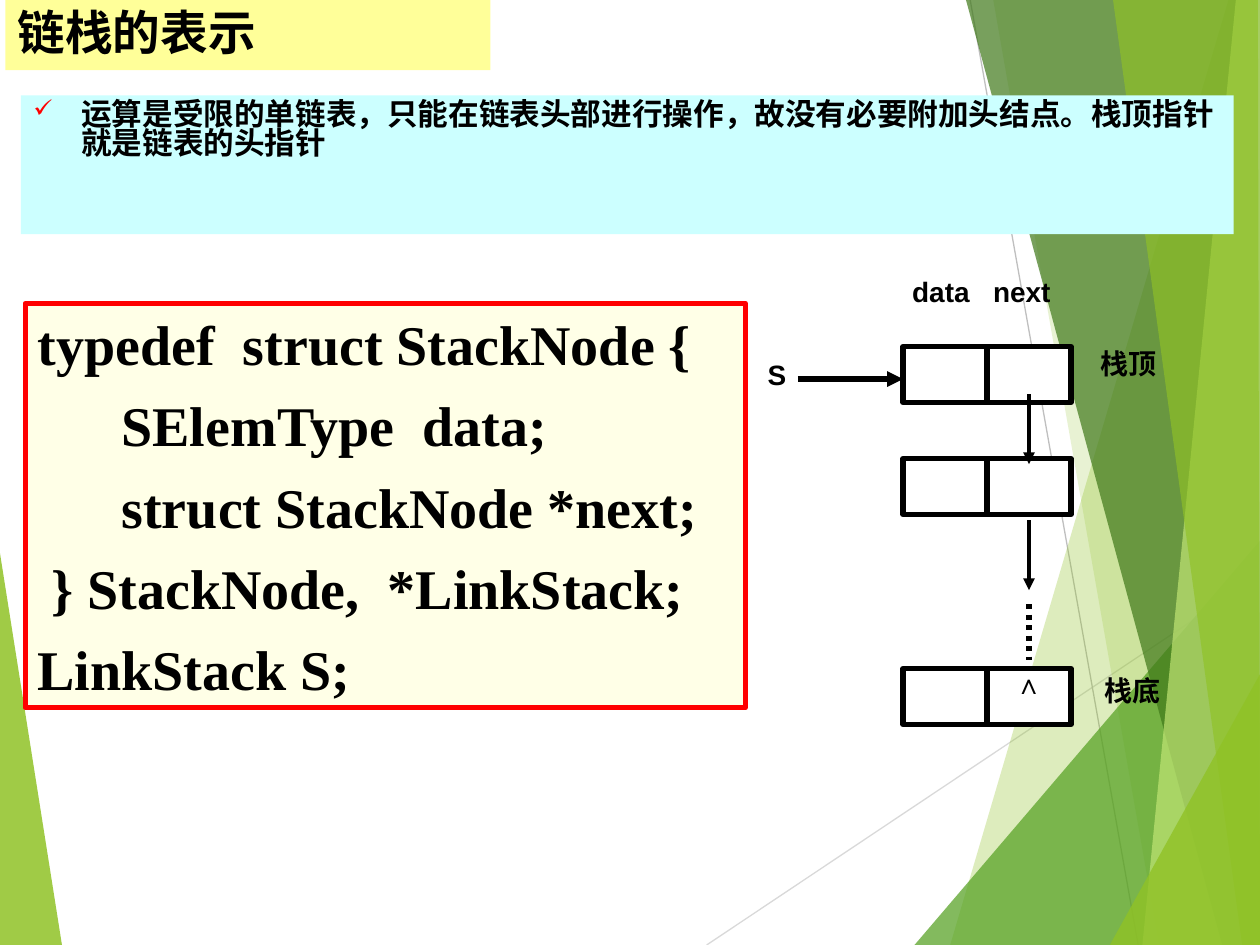
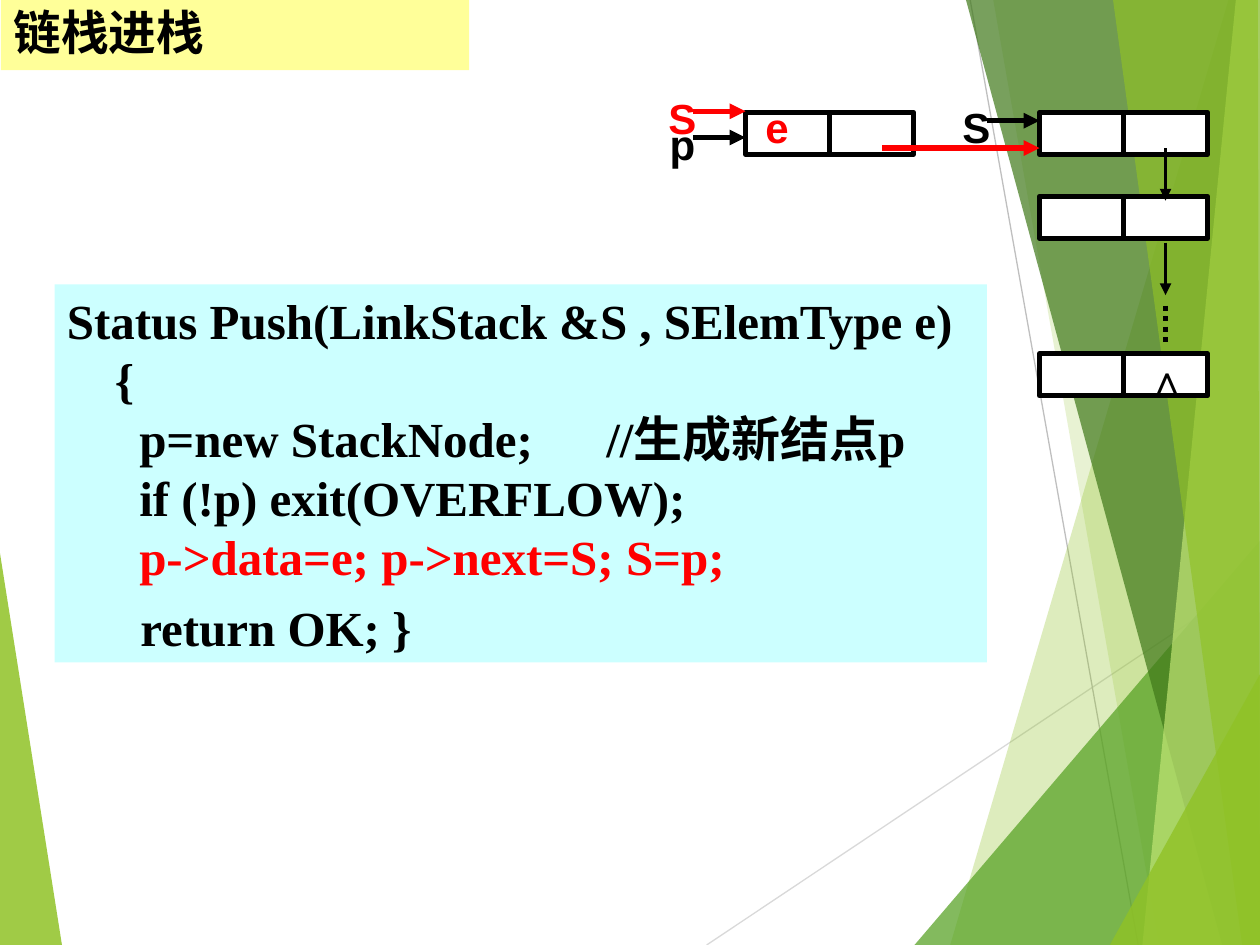
import pptx
import pptx.util
import pptx.dml.color
import pptx.enum.shapes
import pptx.enum.text
import pptx.oxml.ns
from lxml import etree

COLUMNS, ROWS = 120, 90
CELL = pptx.util.Inches(10) // COLUMNS
COLOURS = {
    "black": "000000", "white": "FFFFFF", "red": "FF0000",
    "title": "FFFF99", "cyan": "CCFFFF", "cream": "FFFFE7",
    "lime": "90C226", "green": "54A021", "forest": "3F7819", "pale": "C0E474",
    "silver": "BFBFBF", "mist": "D9D9D9",
}
CHINESE, SANS, SERIF = "Noto Sans CJK SC", "Arial", "Times New Roman"
NODE_WIDTH = 16
ALIGN = pptx.enum.text.PP_ALIGN

FACETS = [
    ("lime", 30, [(117, 0), (90.5, 90), (120, 90), (120, 0)]),
    ("lime", 20, [(94.6, 0), (110.4, 90), (120, 90), (120, 0)]),
    ("green", 72, [(87.1, 90), (120, 51.5), (120, 90)]),
    ("forest", 70, [(92, 0), (116.4, 90), (120, 90), (120, 0)]),
    ("pale", 70, [(117.7, 0), (108.8, 90), (120, 90), (120, 0)]),
    ("lime", 65, [(106, 0), (118.3, 90), (120, 90), (119.8, 0)]),
    ("lime", 80, [(105.7, 90), (120, 64.2), (120, 90)]),
]
LEFT_FACET = ("lime", 85, [(0, 52.7), (5.9, 90), (0, 90)])

TYPE_CODE = [
    "typedef  struct StackNode {",
    "      SElemType  data;",
    "      struct StackNode *next;",
    " } StackNode,  *LinkStack;",
    "LinkStack S;",
]
PUSH_CODE = [
    "Status Push(LinkStack &S , SElemType e)\n{\n  p=new StackNode;      //生成新结点p\n"
    "  if (!p) exit(OVERFLOW);\n  p->data=e; p->next=S; S=p;",
    "      return OK; }",
]


def cells(*values):
    """Turn grid counts into slide lengths."""
    return [round(value * CELL) for value in values]


def colour(name):
    """Look up a palette colour."""
    return pptx.dml.color.RGBColor.from_string(COLOURS[name])


def add_child(parent, tag, **attributes):
    """Append a DrawingML element."""
    child = etree.SubElement(parent, pptx.oxml.ns.qn(tag))
    for key, value in attributes.items():
        child.set(key, str(value))
    return child


def paint(shape, fill, outline=None):
    """Set a shape's fill and outline without a shadow."""
    shape.shadow.inherit = False
    shape.fill.solid()
    shape.fill.fore_color.rgb = colour(fill)
    if outline:
        shape.line.color.rgb = colour(outline)
        shape.line.width = pptx.util.Pt(3)
    else:
        shape.line.fill.background()


def add_box(page, place, fill, outline=None):
    """Draw a rectangle on the grid."""
    box = page.shapes.add_shape(pptx.enum.shapes.MSO_SHAPE.RECTANGLE, *cells(*place))
    paint(box, fill, outline)
    return box


def add_line(page, start, end, ink="black", width=3, arrow=False, dotted=False):
    """Draw a straight line or arrow between two grid points."""
    line = page.shapes.add_connector(
        pptx.enum.shapes.MSO_CONNECTOR.STRAIGHT, *cells(*start, *end))
    line.line.color.rgb = colour(ink)
    line.line.width = pptx.util.Pt(width)
    outline = line.line._get_or_add_ln()
    if dotted:
        add_child(outline, "a:prstDash", val="sysDot")
    if arrow:
        add_child(outline, "a:tailEnd", type="triangle")
    add_child(line._element.spPr, "a:effectLst")
    return line


def add_facet(page, fill, opacity, points):
    """Draw a translucent polygon of the backdrop."""
    first, *others = [cells(*point) for point in points]
    builder = page.shapes.build_freeform(*first)
    builder.add_line_segments(others)
    facet = builder.convert_to_shape()
    paint(facet, fill)
    tint = facet._element.spPr.find(".//" + pptx.oxml.ns.qn("a:srgbClr"))
    add_child(tint, "a:alpha", val=opacity * 1000)


def style_span(span, font, size, ink):
    """Format a run of bold text."""
    span.font.size = pptx.util.Pt(size)
    span.font.bold = True
    span.font.color.rgb = colour(ink)
    span.font.name = font
    add_child(span._r.get_or_add_rPr(), "a:ea", typeface=CHINESE)


def write(box, lines, font, size, ink="black", space=0, align=ALIGN.LEFT,
          anchor=pptx.enum.text.MSO_ANCHOR.TOP):
    """Fill a box with paragraphs of one style."""
    frame = box.text_frame
    frame.word_wrap = True
    frame.vertical_anchor = anchor
    for index, text in enumerate(lines):
        para = frame.add_paragraph() if index else frame.paragraphs[0]
        para.text = text
        para.alignment = align
        if index:
            para.space_before = pptx.util.Pt(space)
        for span in para.runs:
            style_span(span, font, size, ink)
    return frame.paragraphs


def hang(para):
    """Give a paragraph a hanging indent."""
    properties = para._p.get_or_add_pPr()
    indent = pptx.util.Inches(0.38)
    properties.set("marL", str(indent))
    properties.set("indent", str(-indent))
    return properties


def add_label(page, left, top, text, size=16, ink="black", width=6, align=ALIGN.CENTER):
    """Place a short diagram label."""
    label = page.shapes.add_textbox(*cells(left, top, width, size / 4))
    write(label, [text], SANS, size, ink, align=align)


def add_title(page, left, width, text):
    """Place the yellow title band."""
    band = add_box(page, (left, 0, width, 6.7), "title")
    para = write(band, [text], CHINESE, 27.2, anchor=pptx.enum.text.MSO_ANCHOR.MIDDLE)[0]
    para.line_spacing = 0.9


def add_node(page, left, top, height):
    """Draw a list node split into data and next."""
    node = add_box(page, (left, top, NODE_WIDTH, height), "white", "black")
    middle = left + NODE_WIDTH / 2
    divider = add_line(page, (middle, top), (middle, top + height))
    divider.begin_connect(node, 0)
    divider.end_connect(node, 2)


def add_chain(page, left, top, scale, mark_size):
    """Draw the linked nodes from stack top to stack bottom."""
    for offset in (0, 8, 23):
        add_node(page, left, top + offset * scale, 4 * scale)
    link = left + NODE_WIDTH * 0.75
    for start, end in ((3.4, 8.4), (12.4, 17.4)):
        add_line(page, (link, top + start * scale), (link, top + end * scale),
                 width=2.25, arrow=True)
    add_line(page, (link, top + 18.4 * scale), (link, top + 22.4 * scale), dotted=True)
    add_label(page, link - 3, top + 22.4 * scale, "∧", mark_size)


def add_page(deck):
    """Add a blank page with the faceted backdrop."""
    page = deck.slides.add_slide(deck.slide_layouts[6])
    add_facet(page, *LEFT_FACET)
    add_line(page, (67.3, ROWS), (COLUMNS, 54.8), "mist", 0.75)
    add_line(page, (92.4, 0), (108.4, ROWS), "silver", 0.75)
    for facet in FACETS:
        add_facet(page, *facet)
    return page


def build_representation(deck):
    """Build the page that defines the linked stack."""
    page = add_page(deck)
    add_title(page, 0.5, 46.2, "链栈的表示")
    note = add_box(page, (2, 9.1, 115.5, 13.2), "cyan")
    para = write(note, ["运算是受限的单链表，只能在链表头部进行操作，故没有必要附加头结点。"
                        "栈顶指针就是链表的头指针"], SERIF, 17.5)[0]
    para.line_spacing = 0.8
    properties = hang(para)
    add_child(add_child(properties, "a:buClr"), "a:srgbClr", val=COLOURS["red"])
    add_child(properties, "a:buSzPct", val=80000)
    add_child(properties, "a:buChar", char="✓")

    code = add_box(page, (2.4, 28.9, 68.6, 38.5), "cream", "red")
    for para in write(code, TYPE_CODE, SERIF, 32, space=8):
        hang(para)

    left, top = 86, 33
    add_chain(page, left, top, 4 / 3, 16)
    for column, row, text in ((85.7, 25.6, "data"), (93.4, 25.6, "next"),
                              (103.6, 32.4, "栈顶"), (104, 63.6, "栈底")):
        add_label(page, column, row, text, width=12, align=ALIGN.LEFT)
    add_line(page, (76, 36.1), (left, 36.1), arrow=True)
    add_label(page, 71, 33.5, "S")


def build_push(deck):
    """Build the page that pushes a node."""
    page = add_page(deck)
    add_title(page, 0.1, 44.6, "链栈进栈")
    new_node, stack, top = 71, 99, 10.7
    add_node(page, new_node, top, 4)
    add_chain(page, stack, top, 1, 24)
    for start, end, row, ink in ((66, new_node, 13.1, "black"), (94, stack, 11.5, "black"),
                                 (84, stack, 14.1, "red"), (66, new_node, 10.6, "red")):
        add_line(page, (start, row), (end, row), ink, arrow=True)
    for column, row, text, ink in ((62, 10.7, "p", "black"), (90, 9.1, "S", "black"),
                                   (71, 9.1, "e", "red"), (62, 8.2, "S", "red")):
        add_label(page, column, row, text, 24, ink)

    code = add_box(page, (5.2, 27.1, 88.8, 36), "cyan")
    paras = write(code, PUSH_CODE, SERIF, 28, space=7)
    for para in paras:
        hang(para)
    paras[0].runs[-1].font.color.rgb = colour("red")


def main():
    """Build and save the deck."""
    deck = pptx.Presentation()
    deck.slide_width, deck.slide_height = cells(COLUMNS, ROWS)
    build_representation(deck)
    build_push(deck)
    deck.save("out.pptx")


if __name__ == "__main__":
    main()
